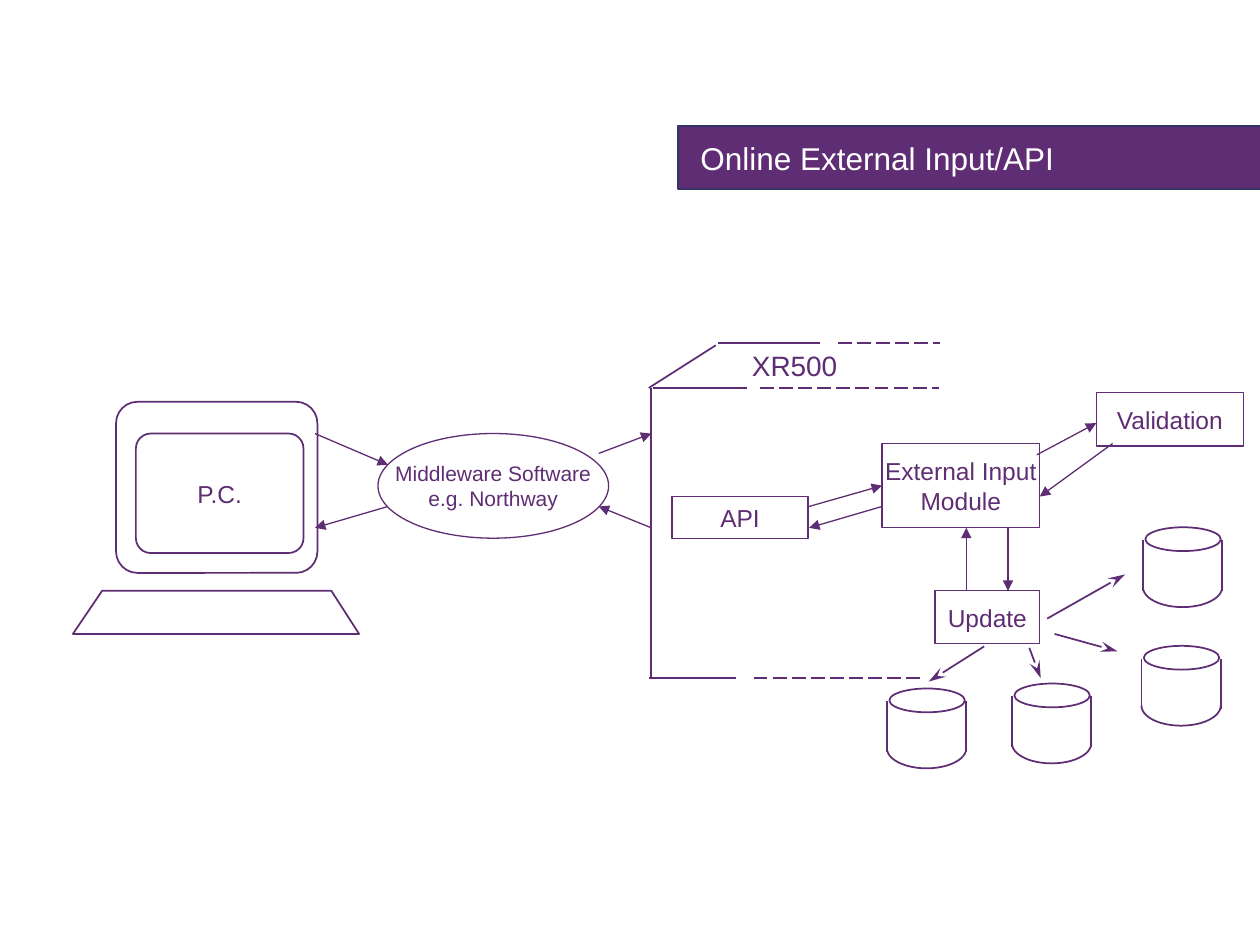
from dataclasses import dataclass

from lxml import etree
from pptx import Presentation
from pptx.dml.color import RGBColor
from pptx.enum.dml import MSO_LINE
from pptx.enum.shapes import MSO_CONNECTOR, MSO_SHAPE
from pptx.enum.text import MSO_ANCHOR, PP_ALIGN
from pptx.oxml.ns import qn
from pptx.util import Cm, Pt

RECT, ROUND = MSO_SHAPE.RECTANGLE, MSO_SHAPE.ROUNDED_RECTANGLE
ELLIPSE, ARC = MSO_SHAPE.OVAL, MSO_SHAPE.ARC
STRAIGHT, LONG_DASH = MSO_CONNECTOR.STRAIGHT, MSO_LINE.LONG_DASH
MIDDLE = MSO_ANCHOR.MIDDLE
LEFT, CENTER = PP_ALIGN.LEFT, PP_ALIGN.CENTER
LEFT_SIDE = 1


@dataclass(frozen=True)
class Theme:
    font: str = "Arial"
    purple: RGBColor = RGBColor(0x5F, 0x2D, 0x73)
    navy: RGBColor = RGBColor(0x33, 0x33, 0x66)
    white: RGBColor = RGBColor(0xFF, 0xFF, 0xFF)
    title: int = 18
    host: int = 16
    label: int = 14
    small: int = 12
    thin: float = 0.75
    thick: float = 1


T = Theme()


def set_text(shape, text, size, color=T.purple, align=CENTER, wrap=False):
    tf = shape.text_frame
    tf.word_wrap = wrap
    tf.vertical_anchor = MIDDLE
    tf.text = text
    for p in tf.paragraphs:
        p.alignment = align
        p.font.name = T.font
        p.font.size = Pt(size)
        p.font.color.rgb = color


def add_label(s, x, y, w, h, text, size, **style):
    box = s.shapes.add_textbox(Cm(x), Cm(y), Cm(w), Cm(h))
    set_text(box, text, size, **style)


def paint(shape, width, fill=T.white, line=T.purple):
    shape.shadow.inherit = False
    if fill is None:
        shape.fill.background()
    else:
        shape.fill.solid()
        shape.fill.fore_color.rgb = fill
    shape.line.color.rgb = line
    shape.line.width = Pt(width)


def add_box(s, kind, x, y, w, h, text="", size=T.label, width=T.thin, **colors):
    sp = s.shapes.add_shape(kind, Cm(x), Cm(y), Cm(w), Cm(h))
    paint(sp, width, **colors)
    if kind == ROUND:
        sp.adjustments[0] = 0.125
    if text:
        set_text(sp, text, size)
    return sp


def add_line(s, x1, y1, x2, y2, width=T.thick, dash=None, head=None, length="med"):
    """Draw a straight line, with an arrowhead at its end if head names one."""
    line = s.shapes.add_connector(STRAIGHT, Cm(x1), Cm(y1), Cm(x2), Cm(y2))
    line.line.color.rgb = T.purple
    line.line.width = Pt(width)
    if dash:
        line.line.dash_style = dash
    if head:
        ln = line.line._get_or_add_ln()
        etree.SubElement(ln, qn("a:tailEnd"), type=head, w="med", len=length)
    etree.SubElement(line._element.spPr, qn("a:effectLst"))
    return line


def add_arrow(s, *ends):
    return add_line(s, *ends, width=T.thin, head="triangle")


def add_disk(s, x, y):
    """Draw a data store whose bottom curve has its box at x, y."""
    w = 1.6
    for side in (x, x + w):
        add_line(s, side, y - 0.54, side, y + 0.48)
    add_box(s, ELLIPSE, x + 0.05, y - 0.8, 1.52, 0.48, width=T.thick)
    curve = add_box(s, ARC, x, y, w, 0.81, width=T.thick, fill=None)
    curve.adjustments[0] = 0
    curve.adjustments[1] = 108  # 180 degrees


def add_pc(s):
    add_box(s, ROUND, 2.34, 8.1, 4.06, 3.45, width=T.thick)
    add_box(s, ROUND, 2.74, 8.74, 3.38, 2.41, "P.C.", width=T.thick)
    corners = [(1.47, 12.78), (7.24, 12.78), (6.68, 11.91), (2.06, 11.91)]
    points = [(Cm(x), Cm(y)) for x, y in corners]
    fb = s.shapes.build_freeform(*points[0])
    fb.add_line_segments(points[1:], close=True)
    paint(fb.convert_to_shape(), T.thick)


def add_host(s):
    top, front, bottom = 6.91, 7.82, 13.67
    add_line(s, 13.13, bottom, 13.13, front)
    add_line(s, 13.08, front, 14.43, 6.96)
    for y, x1, x2, dash_x1, dash_x2 in [
        (top, 14.48, 16.54, 16.89, 18.95),
        (front, 13.16, 15.06, 15.32, 18.92),
        (bottom, 13.08, 14.83, 15.19, 18.59),
    ]:
        add_line(s, x1, y, x2, y)
        add_line(s, dash_x1, y, dash_x2, y, dash=LONG_DASH)
    add_label(s, 14.71, 6.98, 2.62, 0.76, "XR500", T.host)


def main():
    prs = Presentation()
    prs.slide_width, prs.slide_height = Cm(25.4), Cm(19.05)
    s = prs.slides.add_slide(prs.slide_layouts[6])

    add_box(s, RECT, 13.67, 2.54, 11.86, 1.27, fill=T.purple, line=T.navy)
    add_label(s, 13.87, 2.54, 11, 1.27, "Online External Input/API", T.title,
              color=T.white, align=LEFT, wrap=True)

    add_pc(s)
    add_host(s)
    for x, y in [(20.4, 14.58), (23.01, 13.82), (23.04, 11.43), (17.88, 14.68)]:
        add_disk(s, x, y)
    for ends in [
        (21.11, 12.47, 22.68, 11.58),
        (21.26, 12.78, 22.53, 13.13),
        (20.75, 13.06, 20.98, 13.67),
        (19.84, 13.03, 18.72, 13.74),
    ]:
        add_line(s, *ends, head="stealth", length="lg")

    add_box(s, ELLIPSE, 7.62, 8.74, 4.65, 2.11,
            "Middleware Software\ne.g. Northway", T.small)
    add_box(s, RECT, 13.55, 10.01, 2.74, 0.85, "API")
    module = add_box(s, RECT, 17.78, 8.94, 3.18, 1.7, "External Input\nModule")
    add_box(s, RECT, 22.1, 7.92, 2.97, 1.07, "Validation")
    add_box(s, RECT, 18.85, 11.91, 2.11, 1.07, "Update")

    for ends in [
        (6.35, 8.74, 7.82, 9.37),
        (7.82, 10.21, 6.35, 10.64),
        (12.07, 9.14, 13.13, 8.74),
        (13.13, 10.64, 12.07, 10.21),
        (17.78, 10.21, 16.31, 10.64),
        (20.9, 9.17, 22.1, 8.53),
        (22.43, 8.94, 20.96, 10.01),
        (20.32, 10.64, 20.32, 11.91),
        (19.48, 11.91, 19.48, 10.64),
    ]:
        add_arrow(s, *ends)
    add_arrow(s, 16.31, 10.21, 17.78, 9.79).end_connect(module, LEFT_SIDE)

    prs.save("out.pptx")


if __name__ == "__main__":
    main()
